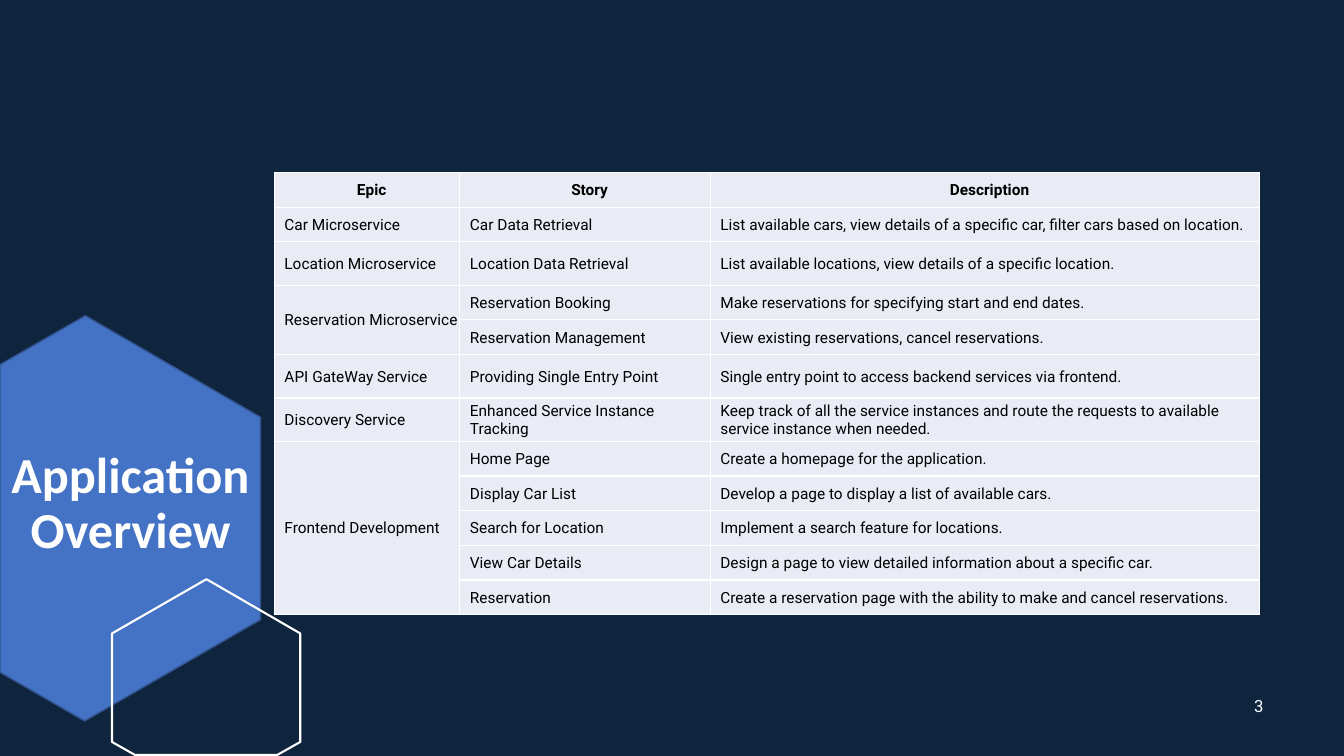
import dataclasses

import pptx
import pptx.dml.color
import pptx.enum.text
import pptx.oxml
import pptx.oxml.ns
import pptx.util

Pt = pptx.util.Pt
ALIGN = pptx.enum.text.PP_ALIGN
MIDDLE = pptx.enum.text.MSO_ANCHOR.MIDDLE


@dataclasses.dataclass(frozen=True)
class Theme:
    background: str = "0F253E"
    hexagon: str = "4472C4"
    hexagon_edge: str = "325491"
    cell: str = "E9EBF5"
    light: str = "FFFFFF"
    dark: str = "000000"
    heading_font: str = "Calibri"
    body_font: str = "Roboto"
    title_size: float = 36
    number_size: float = 12
    table_size: float = 11


def rgb(colour):
    return pptx.dml.color.RGBColor.from_string(colour)


def assign(target, values):
    for name, value in values.items():
        setattr(target, name, value)


class SlideBuilder:
    def __init__(self, slide, theme):
        self.slide = slide
        self.theme = theme
        fill = slide.background.fill
        fill.solid()
        fill.fore_color.rgb = rgb(theme.background)

    def outline(self, points, edge, weight, fill=None):
        start, *others = [(Pt(x), Pt(y)) for x, y in points]
        builder = self.slide.shapes.build_freeform(*start)
        builder.add_line_segments(others, close=True)
        hexagon = builder.convert_to_shape()
        hexagon.shadow.inherit = False
        if fill:
            hexagon.fill.solid()
            hexagon.fill.fore_color.rgb = rgb(fill)
        else:
            hexagon.fill.background()
        hexagon.line.color.rgb = rgb(edge)
        hexagon.line.width = Pt(weight)

    def add_words(self, frame, words, colour, alignment, spacing=None, **font):
        paragraph = frame.paragraphs[0]
        assign(paragraph, {"alignment": alignment, "line_spacing": spacing})
        run = paragraph.add_run()
        run.text = words
        assign(run.font, font)
        run.font.color.rgb = rgb(colour)

    def text(self, box, words, **style):
        frame = self.slide.shapes.add_textbox(*map(Pt, box)).text_frame
        assign(frame, {"word_wrap": True, "vertical_anchor": MIDDLE,
                       "margin_top": 0, "margin_bottom": 0})
        self.add_words(frame, words, self.theme.light, ALIGN.CENTER, **style)

    def cell(self, cell, words, heading=False):
        assign(cell, {"vertical_anchor": MIDDLE, "margin_left": Pt(7.2),
                      "margin_right": Pt(0.7), "margin_top": Pt(0.7),
                      "margin_bottom": 0})
        # Borders come before the fill in the cell properties
        properties = cell._tc.get_or_add_tcPr()
        for side in "LRTB":
            properties.append(pptx.oxml.parse_xml(
                f'<a:ln{side} {pptx.oxml.ns.nsdecls("a")} w="{Pt(1)}"><a:solidFill>'
                f'<a:srgbClr val="{self.theme.light}"/></a:solidFill></a:ln{side}>'))
        cell.fill.solid()
        cell.fill.fore_color.rgb = rgb(self.theme.cell)
        if words:
            self.add_words(cell.text_frame, words, self.theme.dark,
                           ALIGN.CENTER if heading else ALIGN.LEFT,
                           name=self.theme.body_font,
                           size=Pt(self.theme.table_size), bold=heading)

    def table(self, left, top, widths, heights, rows):
        table = self.slide.shapes.add_table(
            len(rows), len(widths), Pt(left), Pt(top),
            Pt(sum(widths)), Pt(sum(heights))).table
        assign(table, {"first_row": False, "horz_banding": False})
        for column, width in zip(table.columns, widths):
            column.width = Pt(width)
        for r, (row, height) in enumerate(zip(rows, heights)):
            table.rows[r].height = Pt(height)
            for c, words in enumerate(row):
                self.cell(table.cell(r, c), words, heading=r == 0)
        return table


HEADINGS = ("Epic", "Story", "Description")
SHORT_ROW, TALL_ROW = 24.8, 31
# Epic, row height, (story, description) pairs
EPICS = [
    ("Car Microservice", SHORT_ROW, [
        ("Car Data Retrieval",
         "List available cars, view details of a specific car, filter cars based on location.")]),
    ("Location Microservice", TALL_ROW, [
        ("Location Data Retrieval",
         "List available locations, view details of a specific location.")]),
    ("Reservation Microservice", SHORT_ROW, [
        ("Reservation Booking", "Make reservations for specifying start and end dates."),
        ("Reservation Management", "View existing reservations, cancel reservations.")]),
    ("API GateWay Service", TALL_ROW, [
        ("Providing Single Entry Point",
         "Single entry point to access backend services via frontend.")]),
    ("Discovery Service", TALL_ROW, [
        ("Enhanced Service Instance Tracking",
         "Keep track of all the service instances and route the requests to available "
         "service instance when needed.")]),
    ("Frontend Development", SHORT_ROW, [
        ("Home Page", "Create a homepage for the application."),
        ("Display Car List", "Develop a page to display a list of available cars."),
        ("Search for Location", "Implement a search feature for locations."),
        ("View Car Details", "Design a page to view detailed information about a specific car."),
        ("Reservation",
         "Create a reservation page with the ability to make and cancel reservations.")]),
]


def main():
    theme = Theme()
    deck = pptx.Presentation()
    assign(deck, {"slide_width": Pt(960), "slide_height": Pt(540)})
    builder = SlideBuilder(deck.slides.add_slide(deck.slide_layouts[6]), theme)

    # Hexagons at the left edge
    builder.outline([(61, 225.5), (186, 298), (186, 442.7), (60.5, 515),
                     (0, 480.2), (0, 260.5)],
                    theme.hexagon_edge, 1, theme.hexagon)
    builder.outline([(147.5, 413.7), (214.5, 452.5), (214.5, 530), (198, 539.3),
                     (96.5, 539.3), (80, 530), (80, 452.5)], theme.light, 1.5)

    # Title and slide number
    builder.text((0, 319.7, 186.5, 81.4), "Application Overview", spacing=0.9,
                 name=theme.heading_font, size=Pt(theme.title_size), bold=True)
    builder.text((881.3, 489.6, 36, 28.8), "3",
                 name=theme.body_font, size=Pt(theme.number_size))

    # Epics table, with each epic spanning its stories
    rows, heights, spans = [HEADINGS], [SHORT_ROW], []
    for epic, height, stories in EPICS:
        spans.append((len(rows), len(rows) + len(stories) - 1))
        for position, story in enumerate(stories):
            rows.append(("" if position else epic, *story))
            heights.append(height)
    epics_table = builder.table(196, 123.2, (132.5, 178.9, 392.4), heights, rows)
    for first, last in spans:
        if last > first:
            epics_table.cell(first, 0).merge(epics_table.cell(last, 0))

    deck.save("out.pptx")


if __name__ == "__main__":
    main()
